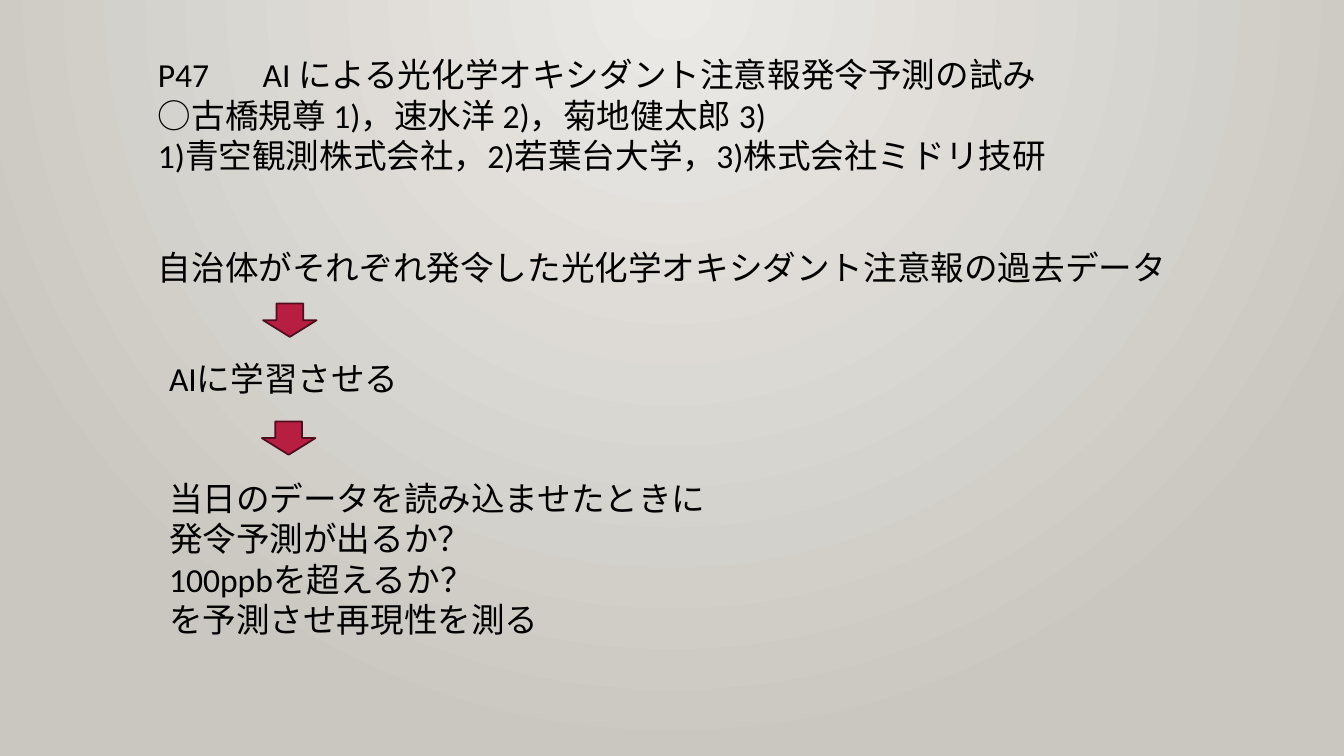
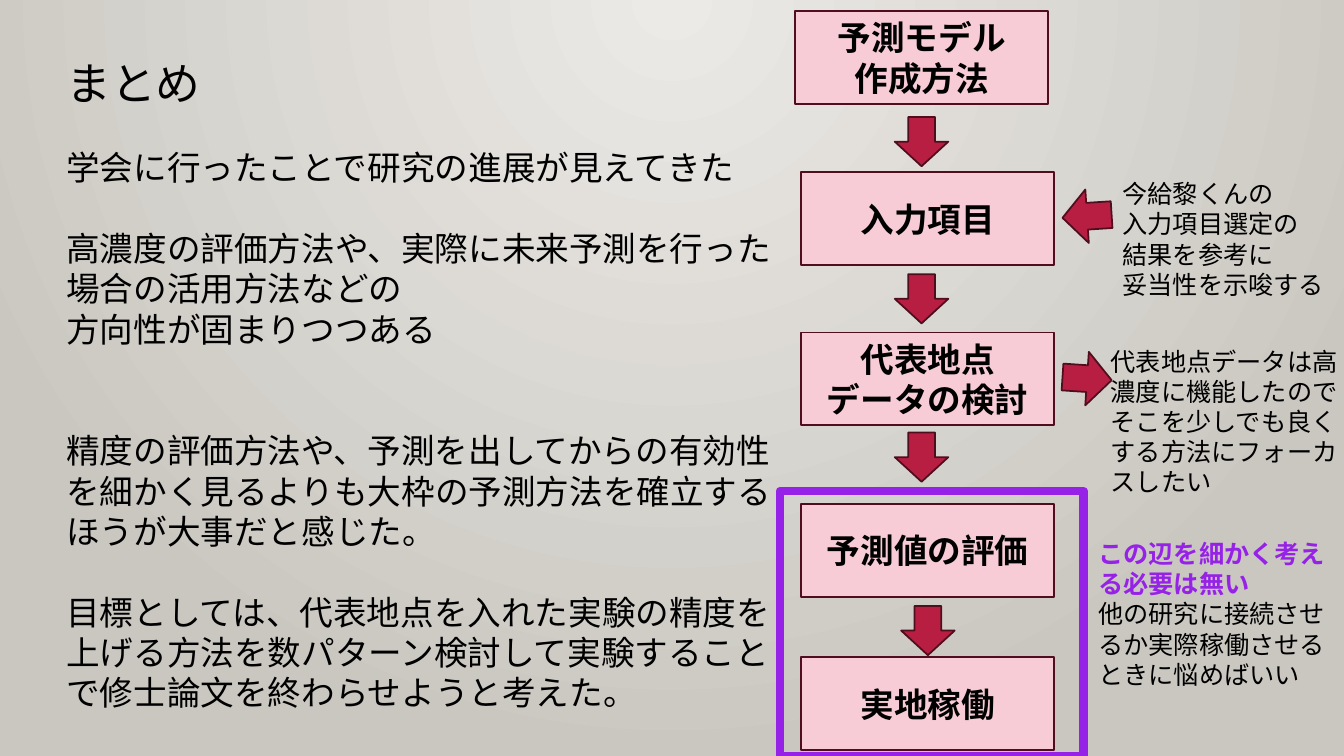
import pptx
import pptx.util
import pptx.dml.color
import pptx.enum.shapes
import pptx.enum.text
import lxml.etree

Cm = pptx.util.Cm
Pt = pptx.util.Pt
KIND = pptx.enum.shapes.MSO_SHAPE
ALIGN = pptx.enum.text.PP_ALIGN
MIDDLE = pptx.enum.text.MSO_ANCHOR.MIDDLE
NS = "http://schemas.openxmlformats.org/drawingml/2006/main"

HUES = {
    "light": "ECEAE7",
    "dark": "CAC7C1",
    "ink": "000000",
    "red": "B71E42",
    "wine": "500D1D",
    "pink": "F7CCD6",
    "purple": "9622E7",
}
TITLE = {"size": Pt(32)}
BODY = {"size": Pt(24)}
LABEL = {"size": Pt(24), "bold": True}
NOTE = {"size": Pt(18)}
GAP = 29


def hue(name):
    return pptx.dml.color.RGBColor.from_string(HUES[name])


def apply(target, values):
    for key, value in values.items():
        setattr(target, key, value)


def backdrop(master):
    fill = master.background.fill
    fill.gradient()
    for stop, name in zip(fill.gradient_stops, ("light", "dark")):
        stop.color.rgb = hue(name)
    line = next(master._element.iter(f"{{{NS}}}lin"))
    round_fill = lxml.etree.Element(f"{{{NS}}}path", {"path": "circle"})
    edges = {"l": "43000", "t": "0", "r": "43000", "b": "100000"}
    lxml.etree.SubElement(round_fill, f"{{{NS}}}fillToRect", edges)
    line.getparent().replace(line, round_fill)


def write(frame, parts, form, align=ALIGN.LEFT):
    frame.word_wrap = True
    for i, part in enumerate(parts):
        text, space, extra = (part, 0, {}) if isinstance(part, str) else part
        para = frame.paragraphs[0] if i == 0 else frame.add_paragraph()
        para.text = text
        apply(para, {"alignment": align, "space_before": Pt(space)})
        look = {"name": "Calibri", **form, **extra}
        tint = look.pop("hue", "ink")
        for run in para.runs:
            apply(run.font, look)
            run.font.color.rgb = hue(tint)


def words(slide, box, parts, form):
    frame = slide.shapes.add_textbox(*map(Cm, box)).text_frame
    write(frame, parts, form)
    return frame


def shape(slide, kind, box, fill, line="wine", width=1.25):
    item = slide.shapes.add_shape(kind, *map(Cm, box))
    item.shadow.inherit = False
    if fill:
        item.fill.solid()
        item.fill.fore_color.rgb = hue(fill)
    else:
        item.fill.background()
    item.line.color.rgb = hue(line)
    item.line.width = Pt(width)
    return item


def arrow(slide, box, turn=0):
    shape(slide, KIND.DOWN_ARROW, box, "red").rotation = turn


def heading(slide, box):
    frame = words(slide, box, [
        "P47\tAI による光化学オキシダント注意報発令予測の試み",
        "○古橋規尊 1)，速水洋 2)，菊地健太郎 3)\n"
        "1)青空観測株式会社，2)若葉台大学，3)株式会社ミドリ技研",
    ], BODY)
    props = frame.paragraphs[0]._p.get_or_add_pPr()
    tabs = lxml.etree.SubElement(props, f"{{{NS}}}tabLst")
    stop = {"pos": str(Cm(2.64)), "algn": "l"}
    lxml.etree.SubElement(tabs, f"{{{NS}}}tab", stop)


def process(slide, box):
    left, top, width, height = box
    inset = 0.28
    words(slide, (left, top, width, 1.27),
          ["自治体がそれぞれ発令した光化学オキシダント注意報の過去データ"], BODY)
    words(slide, (left + inset, top + 2.79, 17, 1.27), ["AIに学習させる"], BODY)
    words(slide, (left + inset, top + 5.82, 24, height - 5.82), [
        "当日のデータを読み込ませたときに\n発令予測が出るか？",
        "100ppbを超えるか？",
        "を予測させ再現性を測る",
    ], BODY)
    for x, y in ((2.9, 1.55), (2.87, 4.52)):
        arrow(slide, (left + x, top + y, 1.35, 0.84))


def summary(slide, box):
    left, top, width, height = box
    words(slide, (left, top, width, 1.63), ["まとめ"], TITLE)
    words(slide, (left, top + 2.31, width, height - 2.31), [
        "学会に行ったことで研究の進展が見えてきた",
        ("高濃度の評価方法や、実際に未来予測を行った場合の活用方法などの\n"
         "方向性が固まりつつある", GAP, {}),
        ("精度の評価方法や、予測を出してからの有効性を細かく見るよりも"
         "大枠の予測方法を確立するほうが大事だと感じた。", 2 * GAP, {}),
        ("目標としては、代表地点を入れた実験の精度を\n"
         "上げる方法を数パターン検討して実験することで"
         "修士論文を終わらせようと考えた。", GAP, {}),
    ], BODY)


def flow(slide, box):
    left, top, width, height = box
    steps = [
        (0.38, 0, "予測モデル\n作成方法"),
        (0.53, 4.06, "入力項目"),
        (0.53, 8.1, "代表地点\nデータの検討"),
        (0.53, 12.42, "予測値の評価"),
        (0.53, 16.28, "実地稼働"),
    ]
    for x, y, text in steps:
        item = shape(slide, KIND.RECTANGLE, (left + x, top + y, 6.38, 2.34), "pink")
        item.text_frame.vertical_anchor = MIDDLE
        write(item.text_frame, [text], LABEL, ALIGN.CENTER)
    for x, y in ((2.89, 2.67), (2.89, 6.63), (2.89, 10.62), (3.05, 14.99)):
        arrow(slide, (left + x, top + y, 1.35, 1.24))
    shape(slide, KIND.RECTANGLE, (left, top + 12.09, width, height - 12.09),
          None, "purple", 6)


def remarks(slide, box):
    left, top, width, height = box
    for y, turn in ((0.46, 86.3), (4.55, 273.8)):
        arrow(slide, (left, top + y, 1.35, 1.24), turn)
    words(slide, (left + 1.32, top, 5.7, 3.33),
          ["今給黎くんの\n入力項目選定の\n結果を参考に\n妥当性を示唆する"], NOTE)
    words(slide, (left + 1.02, top + 4.22, 6.53, 4.11),
          ["代表地点データは高濃度に機能したので\n"
           "そこを少しでも良くする方法にフォーカスしたい"], NOTE)
    words(slide, (left + 0.71, top + 9.07, width - 0.71, height - 9.07), [
        ("この辺を細かく考える必要は無い", 0, {"bold": True, "hue": "purple"}),
        "他の研究に接続させるか実際稼働させるときに悩めばいい",
    ], NOTE)


def main():
    deck = pptx.Presentation()
    apply(deck, {"slide_width": Cm(33.87), "slide_height": Cm(19.05)})
    backdrop(deck.slide_master)
    pages = [
        [(heading, (3.73, 1.24, 23.19, 3.33)), (process, (3.73, 6.1, 26.16, 10.18))],
        [(summary, (1.42, 1.27, 18.67, 16.94)), (flow, (19.66, 0.28, 7.65, 18.77)),
         (remarks, (26.72, 4.37, 7.14, 13.18))],
    ]
    for parts in pages:
        slide = deck.slides.add_slide(deck.slide_layouts[6])
        for draw, box in parts:
            draw(slide, box)
    deck.save("out.pptx")


if __name__ == "__main__":
    main()
